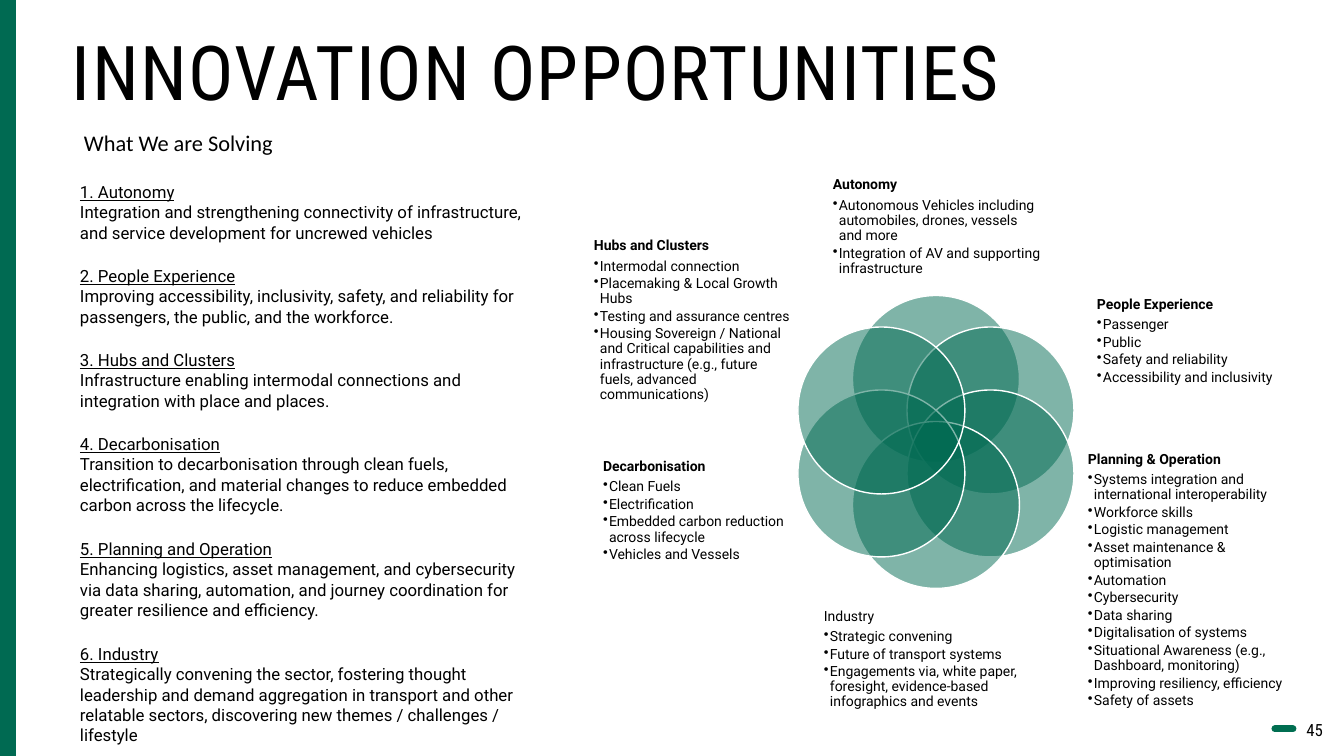
from math import cos, radians, sin

from lxml import etree
from pptx import Presentation
from pptx.dml.color import RGBColor
from pptx.enum.shapes import MSO_CONNECTOR, MSO_SHAPE
from pptx.enum.text import MSO_ANCHOR, MSO_AUTO_SIZE, PP_ALIGN
from pptx.oxml.ns import qn
from pptx.util import Emu, Pt

RECTANGLE, OVAL = MSO_SHAPE.RECTANGLE, MSO_SHAPE.OVAL
STRAIGHT = MSO_CONNECTOR.STRAIGHT
TOP, MIDDLE = MSO_ANCHOR.TOP, MSO_ANCHOR.MIDDLE
LEFT, RIGHT = PP_ALIGN.LEFT, PP_ALIGN.RIGHT
NO_FIT = MSO_AUTO_SIZE.NONE

GREEN = RGBColor(0x00, 0x6A, 0x52)
DASH_GREEN = RGBColor(0x00, 0x6E, 0x51)
WHITE = RGBColor(0xFF, 0xFF, 0xFF)
BLACK = RGBColor(0x00, 0x00, 0x00)

SLIDE_WIDTH, SLIDE_HEIGHT = 1344, 756
TITLE = "INNOVATION OPPORTUNITIES"
SUBTITLE = "What We are Solving"
PAGE_NUMBER = "45"

THEMES = [
    ("1. Autonomy", "Integration and strengthening connectivity of infrastructure, "
     "and service development for uncrewed vehicles", 3),
    ("2. People Experience", "Improving accessibility, inclusivity, safety, and "
     "reliability for passengers, the public, and the workforce.", 3),
    ("3. Hubs and Clusters", "Infrastructure enabling intermodal connections and "
     "integration with place and places.", 3),
    ("4. Decarbonisation", "Transition to decarbonisation through clean fuels, "
     "electrification, and material changes to reduce embedded carbon across the "
     "lifecycle.", 4),
    ("5. Planning and Operation", "Enhancing logistics, asset management, and "
     "cybersecurity via data sharing, automation, and journey coordination for "
     "greater resilience and efficiency.", 4),
    ("6. Industry", "Strategically convening the sector, fostering thought leadership "
     "and demand aggregation in transport and other relatable sectors, discovering "
     "new themes / challenges / lifestyle", 5),
]

PETALS = [
    ("Autonomy", True, (833, 170, 210, 114), [
        "Autonomous Vehicles including automobiles, drones, vessels and more",
        "Integration of AV and supporting infrastructure"]),
    ("People Experience", True, (1097, 279, 199, 125), [
        "Passenger", "Public", "Safety and reliability",
        "Accessibility and inclusivity"]),
    ("Planning & Operation", True, (1088, 426, 199, 309), [
        "Systems integration and international interoperability",
        "Workforce skills", "Logistic management",
        "Asset maintenance & optimisation", "Automation", "Cybersecurity",
        "Data sharing", "Digitalisation of systems",
        "Situational Awareness (e.g., Dashboard, monitoring)",
        "Improving resiliency, efficiency", "Safety of assets"]),
    ("Industry", False, (824, 590, 199, 139), [
        "Strategic convening", "Future of transport systems",
        "Engagements via, white paper, foresight, evidence-based infographics "
        "and events"]),
    ("Decarbonisation", True, (603, 454, 196, 114), [
        "Clean Fuels", "Electrification",
        "Embedded carbon reduction across lifecycle", "Vehicles and Vessels"]),
    ("Hubs and Clusters", True, (594, 251, 199, 139), [
        "Intermodal connection", "Placemaking & Local Growth Hubs",
        "Testing and assurance centres",
        "Housing Sovereign / National and Critical capabilities and infrastructure "
        "(e.g., future fuels, advanced communications)"]),
]

FLOWER_X, FLOWER_Y, FLOWER_RADIUS, PETAL_SIZE = 936, 442, 63, 167
THEME_LEFT, THEME_TOP, THEME_WIDTH, LINE_STEP = 72, 178, 472, 21
BULLET_INDENT = 6


def px(value):
    return Emu(round(value * 914400 / 100.8))


def set_frame(frame, insets, anchor):
    frame.auto_size = NO_FIT
    frame.word_wrap = True
    frame.vertical_anchor = anchor
    frame.margin_left, frame.margin_top, frame.margin_right, frame.margin_bottom = map(px, insets)


def add_text(slide, box, lines, insets=(0, 0, 0, 0), anchor=TOP):
    frame = slide.shapes.add_textbox(*map(px, box)).text_frame
    set_frame(frame, insets, anchor)
    frame.text = "\n".join(lines)
    return frame.paragraphs


def style(paragraph, font_name, size, bold=False, underline=False):
    for run in paragraph.runs:
        run.font.name = font_name
        run.font.size = Pt(size)
        run.font.bold = bold
        run.font.underline = underline
        run.font.color.rgb = BLACK


def add_bullet(paragraph):
    properties = paragraph._p.get_or_add_pPr()
    properties.set("marL", str(px(BULLET_INDENT)))
    properties.set("indent", str(-px(BULLET_INDENT)))
    etree.SubElement(properties, qn("a:buChar")).set("char", "•")


def add_filled(slide, kind, box, color):
    shape = slide.shapes.add_shape(kind, *map(px, box))
    shape.shadow.inherit = False
    shape.fill.solid()
    shape.fill.fore_color.rgb = color
    shape.line.fill.background()
    return shape


def add_title(slide):
    title = slide.shapes.title
    title.left, title.top, title.width, title.height = map(px, (72, 39, 1191, 78))
    title.text_frame.text = TITLE
    set_frame(title.text_frame, (0, 0, 0, 0), TOP)
    paragraph = title.text_frame.paragraphs[0]
    paragraph.alignment = LEFT
    paragraph.line_spacing = 0.85
    style(paragraph, "Roboto Condensed", 54)
    paragraph.runs[0]._r.get_or_add_rPr().set("spc", "100")


def add_page_mark(slide):
    number = add_text(slide, (1254, 715, 79, 30), [PAGE_NUMBER], (10, 5, 10, 5))[0]
    number.alignment = RIGHT
    style(number, "Roboto Condensed", 12)
    dash = slide.shapes.add_connector(STRAIGHT, px(1293), px(729), px(1275), px(729))
    dash.line.color.rgb = DASH_GREEN
    dash.line.width = Pt(5)
    dash.line._get_or_add_ln().set("cap", "rnd")
    etree.SubElement(dash._element.spPr, qn("a:effectLst"))


def add_themes(slide):
    top = THEME_TOP
    for heading, description, line_count in THEMES:
        box = (THEME_LEFT, top, THEME_WIDTH, line_count * 20 + 8)
        first, second = add_text(slide, box, [heading, description], (8, 4, 4, 4))
        style(first, "Roboto", 12, underline=True)
        style(second, "Roboto", 12)
        top += (line_count + 1) * LINE_STEP


def add_flower(slide):
    for index, (heading, bold, box, points) in enumerate(PETALS):
        angle = radians(index * 360 / len(PETALS))
        left = FLOWER_X + FLOWER_RADIUS * sin(angle) - PETAL_SIZE / 2
        top = FLOWER_Y - FLOWER_RADIUS * cos(angle) - PETAL_SIZE / 2
        petal = add_filled(slide, OVAL, (left, top, PETAL_SIZE, PETAL_SIZE), GREEN)
        petal.line.color.rgb = WHITE
        petal.line.width = Pt(1)
        color = petal._element.spPr.find(qn("a:solidFill")).find(qn("a:srgbClr"))
        etree.SubElement(color, qn("a:alpha")).set("val", "50000")

        first, *bullets = add_text(slide, box, [heading, *points], anchor=MIDDLE)
        style(first, "Roboto", 10, bold=bold)
        first.line_spacing = 0.9
        first.space_after = Pt(3.7)
        for paragraph in bullets:
            add_bullet(paragraph)
            style(paragraph, "Roboto", 10)
            paragraph.line_spacing = 0.9
            paragraph.space_after = Pt(1.7)


def main():
    presentation = Presentation()
    presentation.slide_width = px(SLIDE_WIDTH)
    presentation.slide_height = px(SLIDE_HEIGHT)
    slide = presentation.slides.add_slide(presentation.slide_layouts[5])
    add_filled(slide, RECTANGLE, (0, 0, 16, SLIDE_HEIGHT), GREEN)
    add_page_mark(slide)
    add_title(slide)
    subtitle = add_text(slide, (72, 121, 243, 43), [SUBTITLE], (12, 8, 12, 8), MIDDLE)[0]
    style(subtitle, "Calibri", 16)
    add_flower(slide)
    add_themes(slide)
    presentation.save("out.pptx")


if __name__ == "__main__":
    main()
